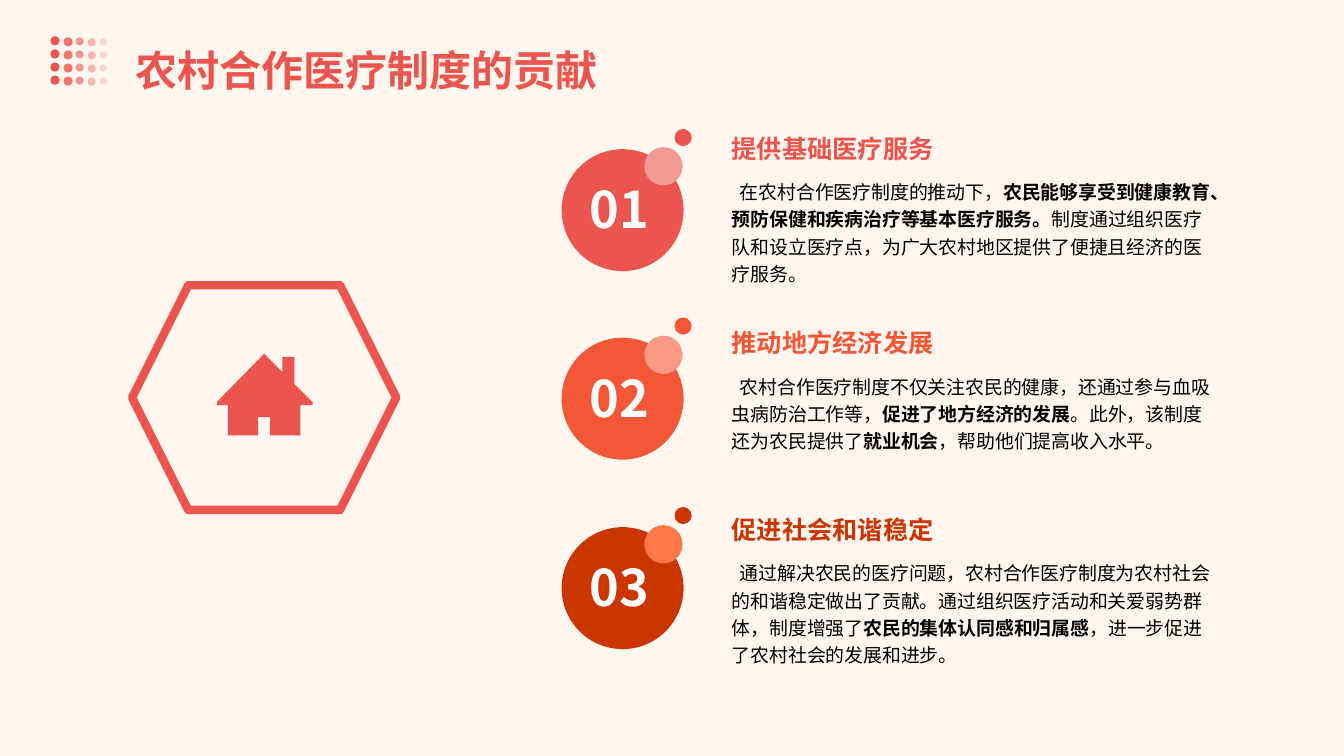
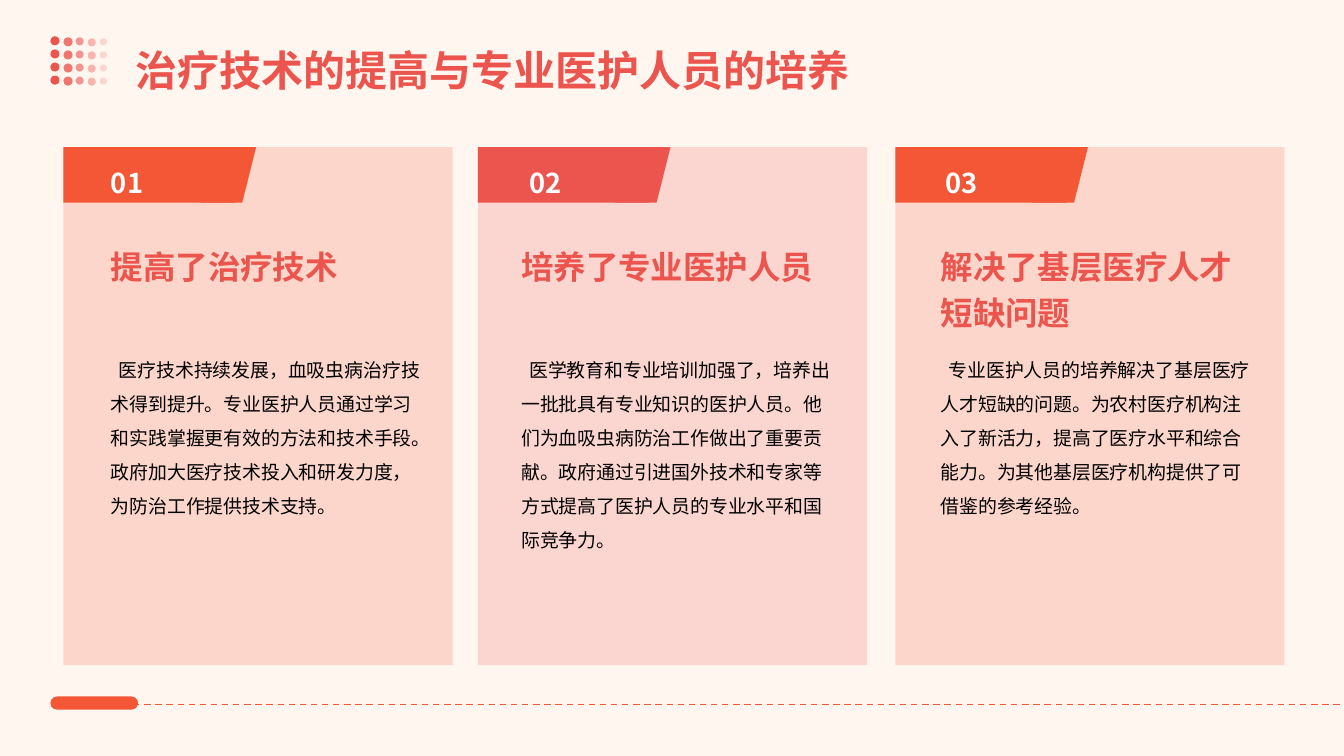
from typing import NamedTuple

from lxml.etree import SubElement
from pptx import Presentation
from pptx.dml.color import RGBColor
from pptx.enum.dml import MSO_LINE
from pptx.enum.shapes import MSO_CONNECTOR, MSO_SHAPE
from pptx.enum.text import MSO_AUTO_SIZE
from pptx.oxml.ns import qn
from pptx.util import Pt

PX = 9144  # 100 px to the inch
W, H = 1333, 750
FONT = "Noto Sans CJK SC"
COLORS = {
    "bg": "FFF6F0", "red": "EB554D", "orange": "F35735", "rust": "CB3600",
    "pink": "F39994", "salmon": "F89A86", "coral": "FF7847",
    "white": "FFFFFF", "black": "000000",
}
PLAIN = (10, 5, 10, 5)
TIGHT = (10, 10, 5, 10)
WIDE = (14, 14, 6, 14)


class Style(NamedTuple):
    size: float
    color: str = "black"
    bold: bool = False
    spacing: float = 1.0
    insets: tuple[int, int, int, int] = PLAIN
    before: float = 0
    indent: int = 0
    grow: bool = True


class Step(NamedTuple):
    num: str
    color: str
    tint: str
    disc_y: int
    text_y: int
    text_h: int
    head: str
    body: list[str]  # every second run is bold


class Card(NamedTuple):
    num: str
    color: str
    x: int
    text_x: int
    num_x: int
    head: str
    body: str


TITLE = Style(30, "red", True, 1.4, WIDE)
STEP_NUM = Style(36, "white", True)
STEP_BODY = Style(13.5, spacing=1.2, insets=TIGHT, indent=8, grow=False)
CARD_NUM = Style(19.5, "white", True, 1.4, WIDE)
CARD_HEAD = Style(23.2, "red", True, 1.2, WIDE)
CARD_BODY = Style(13.5, spacing=1.5, insets=WIDE, indent=8)

STEPS = [
    Step("01", "red", "pink", 148, 128, 121, "提供基础医疗服务", [
        "在农村合作医疗制度的推动下，",
        "农民能够享受到健康教育、预防保健和疾病治疗等基本医疗服务。",
        "制度通过组织医疗队和设立医疗点，为广大农村地区提供了便捷且经济的医疗服务。"]),
    Step("02", "orange", "salmon", 335, 321, 151, "推动地方经济发展", [
        "农村合作医疗制度不仅关注农民的健康，还通过参与血吸虫病防治工作等，",
        "促进了地方经济的发展", "。此外，该制度还为农民提供了",
        "就业机会", "，帮助他们提高收入水平。"]),
    Step("03", "rust", "coral", 523, 506, 151, "促进社会和谐稳定", [
        "通过解决农民的医疗问题，农村合作医疗制度为农村社会的和谐稳定做出了贡献。"
        "通过组织医疗活动和关爱弱势群体，制度增强了",
        "农民的集体认同感和归属感", "，进一步促进了农村社会的发展和进步。"]),
]
CARDS = [
    Card("01", "orange", 63, 96, 96, "提高了治疗技术",
         "医疗技术持续发展，血吸虫病治疗技术得到提升。专业医护人员通过学习和实践掌握"
         "更有效的方法和技术手段。政府加大医疗技术投入和研发力度，为防治工作提供技术支持。"),
    Card("02", "red", 474, 503, 511, "培养了专业医护人员",
         "医学教育和专业培训加强了，培养出一批批具有专业知识的医护人员。"
         "他们为血吸虫病防治工作做出了重要贡献。"
         "政府通过引进国外技术和专家等方式提高了医护人员的专业水平和国际竞争力。"),
    Card("03", "orange", 888, 919, 924, "解决了基层医疗人才短缺问题",
         "专业医护人员的培养解决了基层医疗人才短缺的问题。为农村医疗机构注入了新活力，"
         "提高了医疗水平和综合能力。为其他基层医疗机构提供了可借鉴的参考经验。"),
]
HOUSE = [(310, 399), (292, 381), (292, 354), (280, 354), (280, 369), (262, 351),
         (215, 399), (215, 402), (226, 402), (226, 432), (256, 432), (256, 414),
         (268, 414), (268, 432), (298, 432), (298, 402), (310, 402)]


def rgb(color: str) -> RGBColor:
    return RGBColor.from_string(COLORS[color])


def paint(sp, color: str, alpha: int = 100) -> None:
    sp.shadow.inherit = False
    sp.line.fill.background()
    sp.fill.solid()
    sp.fill.fore_color.rgb = rgb(color)
    if alpha < 100:
        clr = sp._element.spPr.find(qn("a:solidFill")).find(qn("a:srgbClr"))
        SubElement(clr, qn("a:alpha")).set("val", str(alpha * 1000))


def shape(shapes, kind: MSO_SHAPE, x: int, y: int, w: int, h: int,
          color: str, alpha: int = 100):
    sp = shapes.add_shape(kind, x * PX, y * PX, w * PX, h * PX)
    paint(sp, color, alpha)
    return sp


def text(shapes, x: int, y: int, w: int, h: int, runs: list[str], st: Style) -> None:
    tf = shapes.add_textbox(x * PX, y * PX, w * PX, h * PX).text_frame
    tf.word_wrap = True
    tf.auto_size = MSO_AUTO_SIZE.SHAPE_TO_FIT_TEXT if st.grow else MSO_AUTO_SIZE.NONE
    tf.margin_left, tf.margin_top, tf.margin_right, tf.margin_bottom = (
        i * PX for i in st.insets)
    p = tf.paragraphs[0]
    p.line_spacing = st.spacing
    p.space_before = Pt(st.before)
    if st.indent:
        p._p.get_or_add_pPr().set("indent", str(st.indent * PX))
    for i, run in enumerate(runs):
        r = p.add_run()
        r.text = run
        r.font.size = Pt(st.size)
        r.font.bold = st.bold or i % 2 == 1
        r.font.color.rgb = rgb(st.color)
        r.font.name = FONT
        SubElement(r._r.get_or_add_rPr(), qn("a:ea")).set("typeface", FONT)


def new_slide(prs):
    s = prs.slides.add_slide(prs.slide_layouts[6])
    s.background.fill.solid()
    s.background.fill.fore_color.rgb = rgb("bg")
    return s


def header(s, title: str) -> None:
    shapes = s.shapes.add_group_shape().shapes
    # Dot grid fading to the right
    for row in range(4):
        for col, (x, dy, d) in enumerate(
                [(50, 0, 9), (63, 1, 9), (75, 1, 8), (87, 2, 8), (99, 2, 7)]):
            shape(shapes, MSO_SHAPE.OVAL, x, 36 + 13 * row + dy, d, d,
                  "red", 100 - 20 * col)
    text(shapes, 120, 10, 1094, 100, [title], TITLE)


def draw_step(s, step: Step) -> None:
    y = step.disc_y
    for x, top, d, color in [(557, y, 121, step.color), (639, y - 2, 38, step.tint),
                             (669, y - 20, 17, step.color)]:
        shape(s.shapes, MSO_SHAPE.OVAL, x, top, d, d, color)
    text(s.shapes, 575, y + 24, 102, 68, [step.num], STEP_NUM)
    head = Style(18, step.color, True, 0.8, TIGHT, before=3.8, grow=False)
    text(s.shapes, 716, step.text_y, 446, 51, [step.head], head)
    text(s.shapes, 716, step.text_y + 37, 492, step.text_h, step.body, STEP_BODY)


def draw_card(s, card: Card) -> None:
    x, y = card.x, 146
    shape(s.shapes, MSO_SHAPE.RECTANGLE, x, y, 386, 514, card.color, 20)
    # Slanted number tab
    shape(s.shapes, MSO_SHAPE.RECTANGLE, x, y, 170, 55, card.color)
    shape(s.shapes, MSO_SHAPE.PARALLELOGRAM, x + 136, y, 55, 55, card.color)
    text(s.shapes, card.num_x, 138, 121, 75, [card.num], CARD_NUM)
    text(s.shapes, card.text_x, 223, 327, 124, [card.head], CARD_HEAD)
    text(s.shapes, card.text_x, 331, 327, 228, [card.body], CARD_BODY)


def house_badge(s) -> None:
    sp = shape(s.shapes, MSO_SHAPE.HEXAGON, 131, 283, 262, 223, "red")
    sp.adjustments[0] = 0.25
    sp.fill.background()
    sp.line.color.rgb = rgb("red")
    sp.line.width = Pt(6)
    SubElement(sp._element.spPr.find(qn("a:ln")), qn("a:round"))
    fb = s.shapes.build_freeform(*HOUSE[0], scale=PX)
    fb.add_line_segments(HOUSE[1:], close=True)
    paint(fb.convert_to_shape(), "red")


def footer(s) -> None:
    sp = shape(s.shapes, MSO_SHAPE.ROUNDED_RECTANGLE, 50, 691, 87, 13, "orange")
    sp.adjustments[0] = 0.5
    ln = s.shapes.add_connector(MSO_CONNECTOR.STRAIGHT, 132 * PX, 699 * PX,
                                W * PX, 699 * PX)
    ln.line.color.rgb = rgb("orange")
    ln.line.width = Pt(1.13)
    ln.line.dash_style = MSO_LINE.DASH
    SubElement(ln._element.spPr, qn("a:effectLst"))


def main() -> None:
    prs = Presentation()
    prs.slide_width, prs.slide_height = W * PX, H * PX

    # Contributions
    s = new_slide(prs)
    for step in STEPS:
        draw_step(s, step)
    header(s, "农村合作医疗制度的贡献")
    house_badge(s)

    # Technique and training
    s = new_slide(prs)
    for card in CARDS:
        draw_card(s, card)
    footer(s)
    header(s, "治疗技术的提高与专业医护人员的培养")

    prs.save("out.pptx")


if __name__ == "__main__":
    main()
